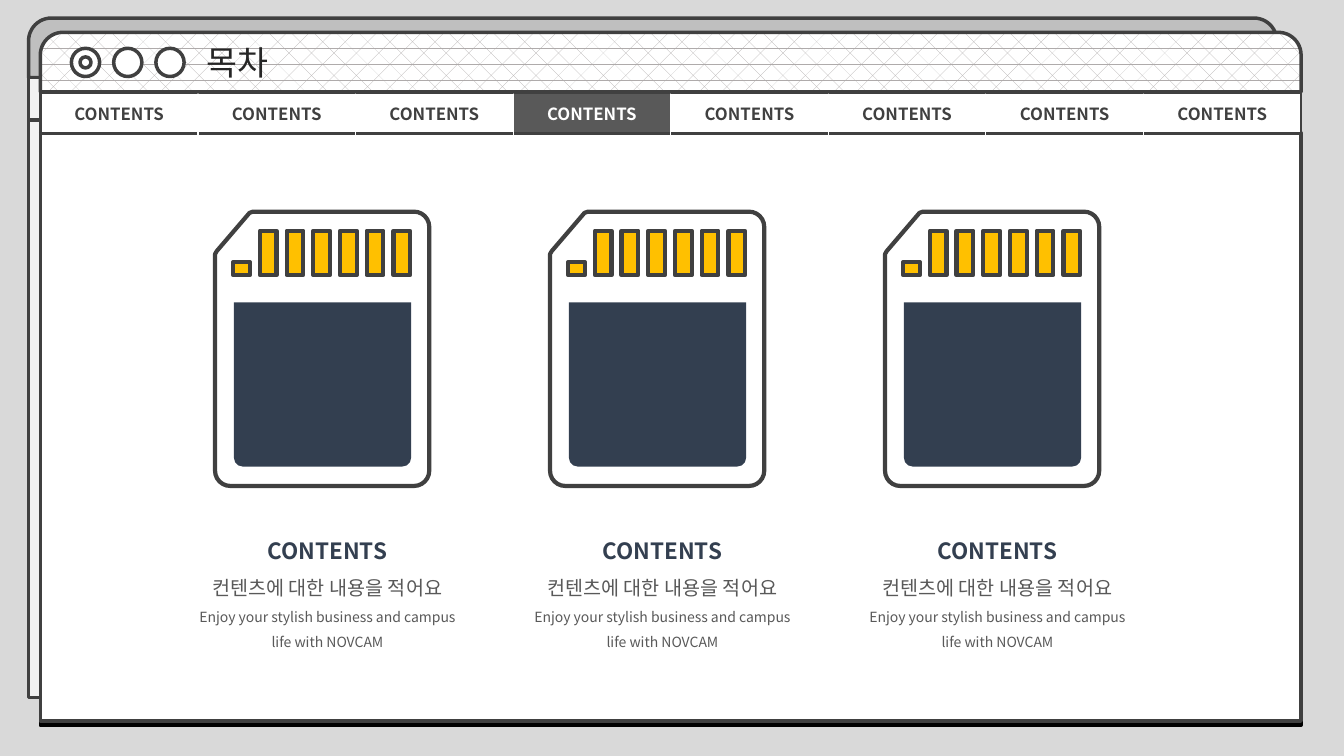
import math

import pptx
import pptx.dml.color
import pptx.enum.dml
import pptx.enum.shapes
import pptx.enum.text
import pptx.oxml
import pptx.oxml.ns
import pptx.util

FONT = "Noto Sans CJK KR"
INK, GREY, NAVY, GOLD, WHITE = "404040", "595959", "333F50", "FFC000", "FFFFFF"
ALIGN = pptx.enum.text.PP_ALIGN
MIDDLE = pptx.enum.text.MSO_ANCHOR.MIDDLE
KIND = pptx.enum.shapes.MSO_SHAPE
COLS = 160  # square grid: 160 columns by 90 rows


def hue(code):
    """Turn a hex string into a colour."""
    return pptx.dml.color.RGBColor.from_string(code)


def node(text):
    """Build a drawing element from XML text."""
    space = pptx.oxml.ns.nsdecls("a")
    return pptx.oxml.parse_xml(text.replace(" ", f" {space} ", 1))


def write(para, text, size=12, color=INK, bold=False, align=ALIGN.CENTER, gap=1.0):
    """Put one formatted run into a paragraph."""
    para.alignment, para.line_spacing = align, gap
    run = para.add_run()
    run.text = text
    font = run.font
    font.size, font.bold, font.name = pptx.util.Pt(size), bold, FONT
    font.color.rgb = hue(color)
    font._element.append(node(f'<a:ea typeface="{FONT}"/>'))


def arc(x, y, r, start):
    """List the points of a quarter turn about x, y."""
    turns = [math.radians(start + 15 * i) for i in range(7)]
    return [(x + r * math.cos(t), y + r * math.sin(t)) for t in turns]


def box(x, y, w, h):
    """List the corners of a rectangle."""
    return [(x, y), (x + w, y), (x + w, y + h), (x, y + h)]


class Deck:
    """Holds the style, the grid and the current slide."""

    def __init__(self):
        """Start a wide deck with one title-only slide."""
        self.file = pptx.Presentation()
        self.file.slide_width = pptx.util.Inches(13.333)
        self.file.slide_height = pptx.util.Inches(7.5)
        self.cell = self.file.slide_width / COLS
        self.slide = self.file.slides.add_slide(self.file.slide_layouts[5])
        self.shapes = self.slide.shapes

    def span(self, *cells):
        """Turn grid cells into lengths."""
        return [pptx.util.Emu(round(n * self.cell)) for n in cells]

    def paint(self, shape, fill, line, width):
        """Set fill and line, and drop the shadow."""
        shape.shadow.inherit = False
        shape.fill.solid()
        shape.fill.fore_color.rgb = hue(fill)
        if line:
            shape.line.color.rgb = hue(line)
            shape.line.width = pptx.util.Pt(width)
        else:
            shape.line.fill.background()
        return shape

    def shape(self, kind, area, fill=WHITE, line=INK, width=2.5, bends=()):
        """Add a preset shape."""
        item = self.shapes.add_shape(kind, *self.span(*area))
        for i, bend in enumerate(bends):
            item.adjustments[i] = bend
        return self.paint(item, fill, line, width)

    def free(self, x, y, loops, fill, line=None, width=3):
        """Add a shape from closed loops placed at x, y."""
        loops = [[self.span(x + a, y + b) for a, b in loop] for loop in loops]
        pen = self.shapes.build_freeform(*loops[0][0])
        for i, loop in enumerate(loops):
            if i:
                pen.move_to(*loop[0])
            pen.add_line_segments(loop[1:], close=True)
        return self.paint(pen.convert_to_shape(), fill, line, width)

    def title(self, text, area):
        """Place the title on top of what is drawn so far."""
        head = self.shapes.title
        head.left, head.top, head.width, head.height = self.span(*area)
        frame = head.text_frame
        frame.vertical_anchor = MIDDLE
        frame.auto_size = pptx.enum.text.MSO_AUTO_SIZE.NONE
        write(frame.paragraphs[0], text, size=24, color="262626", align=ALIGN.LEFT)
        self.shapes._spTree.append(head._element)

    def text(self, area, lines):
        """Add a text box with one paragraph per line."""
        frame = self.shapes.add_textbox(*self.span(*area)).text_frame
        frame.word_wrap = True
        frame.auto_size = pptx.enum.text.MSO_AUTO_SIZE.SHAPE_TO_FIT_TEXT
        for i, (text, style) in enumerate(lines):
            para = frame.add_paragraph() if i else frame.paragraphs[0]
            write(para, text, gap=1.5, **style)

    def menu(self, area, names, pick):
        """Add a one-row table with one cell picked out."""
        table = self.shapes.add_table(1, len(names), *self.span(*area)).table
        table.first_row = table.horz_banding = False
        last = len(names) - 1
        for i, name in enumerate(names):
            cell = table.cell(0, i)
            cell.vertical_anchor = MIDDLE
            sides = ("L" if i == 0 else "") + ("R" if i == last else "") + "TB"
            for side in sides:
                cell._tc.get_or_add_tcPr().append(node(
                    f'<a:ln{side} w="28575"><a:solidFill><a:srgbClr val="{INK}"/>'
                    f"</a:solidFill></a:ln{side}>"))
            cell.fill.solid()
            cell.fill.fore_color.rgb = hue(GREY if i == pick else WHITE)
            write(cell.text_frame.paragraphs[0], name, bold=True,
                  color=WHITE if i == pick else INK)

    def card(self, x, y):
        """Draw a memory card with gold pins and a label."""
        wide, tall, r = 25.5, 32.65, 1.8
        edge = [(4.5, 0), *arc(wide - r, r, r, -90), *arc(wide - r, tall - r, r, 0),
                *arc(r, tall - r, r, 90), (0, 5.05), (0.2, 4.7), (4.1, 0.15)]
        pins = [box(2.16 + 3.18 * i, 2.28 if i else 6, 1.98, 5.27 if i else 1.55)
                for i in range(7)]
        self.free(x, y, [[(3.25, 2.05), (24.1, 1.7), (24.1, 8.75), (0.75, 8.75)]], GOLD)
        self.free(x, y, [edge, *pins], WHITE, INK)
        self.shape(KIND.ROUND_2_SAME_RECTANGLE, (x + 2.25, y + 10.8, 21.1, 19.55),
                   NAVY, None, bends=(0, 0.054))


deck = Deck()
back = deck.slide.background.fill
back.solid()
back.fore_color.rgb = hue("D9D9D9")

# Window behind
TOP = (0.381, 0)
deck.shape(KIND.ROUND_2_SAME_RECTANGLE, (3.4, 2.15, 148.6, 7.1), "BFBFBF", bends=TOP)
for y, tall in ((14.3, 68.75), (9.25, 5.05)):
    deck.shape(KIND.RECTANGLE, (3.4, y, 148.6, tall), "F2F2F2")

# Front window
LEFT, WIDE = 4.8, 150.1
page = deck.shape(KIND.RECTANGLE, (LEFT, 15.85, WIDE, 70))
page._element.spPr.find(pptx.oxml.ns.qn("a:effectLst")).append(node(
    '<a:outerShdw dist="38100" dir="5400000" algn="t" rotWithShape="0">'
    '<a:srgbClr val="000000"/></a:outerShdw>'))
deck.menu((LEFT, 11, WIDE, 4.9), ["CONTENTS"] * 8, pick=3)

LINES = [
    ("CONTENTS", dict(size=16, color=NAVY, bold=True)),
    ("컨텐츠에 대한 내용을 적어요", dict(size=14, color=GREY)),
    ("Enjoy your stylish business and campus life with NOVCAM",
     dict(size=10, color=GREY)),
]
for i in range(3):
    x = 25.6 + 39.88 * i
    deck.card(x, 25.2)
    deck.text((x - 3.25, 61.8, 33.25, 16.3), LINES)

# Title bar and its buttons
bar = deck.shape(KIND.ROUND_2_SAME_RECTANGLE, (LEFT, 3.85, WIDE, 7.1), bends=TOP)
bar.fill.patterned()
bar.fill.pattern = pptx.enum.dml.MSO_PATTERN.DIVOT
bar.fill.fore_color.rgb, bar.fill.back_color.rgb = hue("AFABAB"), hue(WHITE)
deck.title("목차", (23.4, 3.85, 60, 7.1))
for i in range(3):
    deck.shape(KIND.OVAL, (8.5 + 5.03 * i, 5.75, 3.36, 3.36))
deck.shape(KIND.OVAL, (9.52, 6.77, 1.32, 1.32))

deck.file.save("out.pptx")
